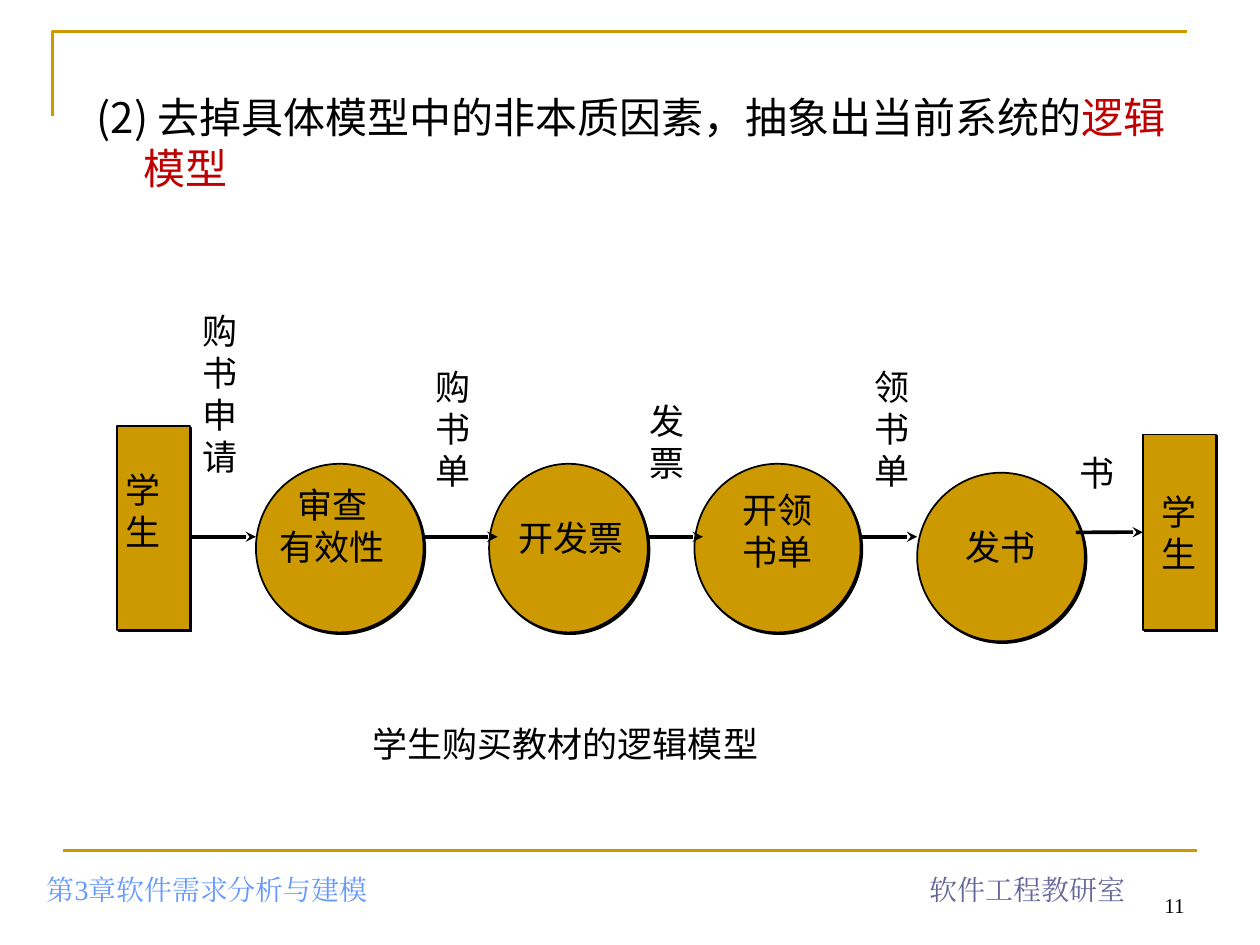
from dataclasses import dataclass

from lxml.etree import SubElement
from pptx import Presentation
from pptx.dml.color import RGBColor
from pptx.enum.shapes import MSO_CONNECTOR as Link, MSO_SHAPE as Shape
from pptx.enum.text import MSO_ANCHOR as Anchor, PP_ALIGN as Align
from pptx.oxml.ns import qn
from pptx.util import Cm, Pt


@dataclass(frozen=True)
class Theme:
    """Colours, fonts and type sizes of the slide."""
    gold: str = "CC9900"
    ink: str = "000000"
    red: str = "C00000"
    sky: str = "6699FF"
    slate: str = "666699"
    sans: str = "Noto Sans CJK SC"
    serif: str = "Times New Roman"
    title: int = 24
    label: int = 20
    footer: int = 16
    number: int = 12
    leading: float = 1.2


THEME = Theme()
FLOW_Y = 10.82
NODE_TOP = 9.35
NODE_HEIGHT = 3.4
STUDENT_WIDTH = 1.47
STUDENT_BOTTOM = 12.7

PROCESSES = [
    (5.16, NODE_TOP, 3.38),
    (9.86, NODE_TOP, 3.2),
    (14, NODE_TOP, 3.35),
    (18.49, 9.53, 3.38),
]
PROCESS_NAMES = [
    ("审查\n有效性", 5.38, 9.63, 2.64),
    ("开发票", 10.19, 10.29, 2.64),
    ("开领\n书单", 14.71, 9.73, 1.93),
    ("发书", 19.2, 10.46, 1.93),
]
FLOW_NAMES = [
    ("学\n生", 2.29, 9.32, 1.73),
    ("购\n书\n申\n请", 3.84, 6.12, 1.32),
    ("购\n书\n单", 8.53, 7.24, 1.5),
    ("发\n票", 12.85, 7.92, 1.22),
    ("领\n书\n单", 17.37, 7.24, 1.22),
    ("书", 21.51, 8.97, 1.22),
]
FLOWS = [(3.84, 5.16), (8.53, 10.03), (13.06, 14.17), (17.37, 18.49)]


def colour(code):
    """Turn a hex code into a colour."""
    return RGBColor.from_string(code)


def style_span(span, size, code, font):
    """Format one run, including its East Asian font."""
    span.font.size = Pt(size)
    span.font.name = font
    span.font.color.rgb = colour(code)
    SubElement(span.font._element, qn("a:ea")).set("typeface", font)


def style_frame(frame, size, code, font=THEME.sans, align=Align.LEFT):
    """Format every paragraph of a text frame."""
    for para in frame.paragraphs:
        para.alignment = align
        if font == THEME.sans:
            para.line_spacing = Pt(size * THEME.leading)
        for span in para.runs:
            style_span(span, size, code, font)


def add_text(page, text, left, top, width, height, wrap=True):
    """Add a text box and return its frame."""
    box = page.shapes.add_textbox(Cm(left), Cm(top), Cm(width), Cm(height))
    frame = box.text_frame
    frame.word_wrap = wrap
    frame.text = text
    return frame


def add_label(page, text, left, top, width, align=Align.LEFT):
    """Add a diagram label as tall as its lines."""
    height = 0.25 + 0.85 * (text.count("\n") + 1)
    frame = add_text(page, text, left, top, width, height, wrap=False)
    style_frame(frame, THEME.label, THEME.ink, align=align)


def add_footer(page, text, left, top, width, size, code, align):
    """Add a footer text resting on the bottom of its box."""
    frame = add_text(page, text, left, top, width, 1.27)
    frame.vertical_anchor = Anchor.BOTTOM
    style_frame(frame, size, code, THEME.serif, align)


def add_title(page):
    """Add the hanging heading with its red ending."""
    frame = add_text(page, "(2) 去掉具体模型中的非本质因素，抽象出当前系统的", 1.7, 1.73, 22.81, 2.29)
    para = frame.paragraphs[0]
    para.add_run().text = "逻辑模型"
    style_frame(frame, THEME.title, THEME.ink)
    para.runs[1].font.color.rgb = colour(THEME.red)
    para._p.get_or_add_pPr().set("marL", str(Cm(0.95)))
    para._p.get_or_add_pPr().set("indent", str(Cm(-0.95)))


def add_node(page, kind, left, top, width, height):
    """Add a gold shape with a hard black shadow."""
    node = page.shapes.add_shape(kind, Cm(left), Cm(top), Cm(width), Cm(height))
    node.shadow.inherit = False
    node.fill.solid()
    node.fill.fore_color.rgb = colour(THEME.gold)
    node.line.color.rgb = colour(THEME.ink)
    node.line.width = Pt(1)
    effects = node._element.spPr.find(qn("a:effectLst"))
    shadow = SubElement(effects, qn("a:outerShdw"), dist=str(Pt(1.4)), dir="2700000", algn="ctr", rotWithShape="0")
    SubElement(shadow, qn("a:srgbClr"), val=THEME.ink)
    return node


def add_student(page, left, top):
    """Add a student rectangle standing on the common base."""
    return add_node(page, Shape.RECTANGLE, left, top, STUDENT_WIDTH, STUDENT_BOTTOM - top)


def add_line(page, start, end, top, code, width):
    """Add a horizontal line without shadow."""
    line = page.shapes.add_connector(Link.STRAIGHT, Cm(start), Cm(top), Cm(end), Cm(top))
    line.line.color.rgb = colour(code)
    line.line.width = Pt(width)
    SubElement(line._element.spPr, qn("a:effectLst"))
    return line


def add_flow(page, start, end, top=FLOW_Y):
    """Add a data flow arrow."""
    arrow = add_line(page, start, end, top, THEME.ink, 2)
    SubElement(arrow.line._get_or_add_ln(), qn("a:tailEnd"), type="stealth")
    return arrow


def add_frame(page):
    """Add the gold corner and the footer rule."""
    pen = page.shapes.build_freeform(Cm(1.06), Cm(2.33), scale=1)
    pen.add_line_segments([(Cm(1.06), Cm(0.63)), (Cm(23.92), Cm(0.63))], close=False)
    corner = pen.convert_to_shape()
    corner.shadow.inherit = False
    corner.fill.background()
    corner.line.color.rgb = colour(THEME.gold)
    corner.line.width = Pt(1.5)
    add_line(page, 1.27, 24.13, 17.15, THEME.gold, 1.5)


def add_diagram(page):
    """Add the students, processes, flows and their names."""
    add_student(page, 2.36, 8.59)
    receiver = add_student(page, 23.04, 8.76)
    receiver.text_frame.text = "学\n生"
    receiver.text_frame.word_wrap = False
    receiver.text_frame.vertical_anchor = Anchor.MIDDLE
    style_frame(receiver.text_frame, THEME.label, THEME.ink, align=Align.CENTER)
    for left, top, width in PROCESSES:
        add_node(page, Shape.OVAL, left, top, width, NODE_HEIGHT)
    for name in FLOW_NAMES:
        add_label(page, *name)
    for start, end in FLOWS:
        add_flow(page, start, end)
    middle = (8.76 + STUDENT_BOTTOM) / 2
    add_flow(page, 21.69, 23.04, middle).end_connect(receiver, 1)
    for name in PROCESS_NAMES:
        add_label(page, *name, align=Align.CENTER)


def main():
    """Build and save the slide."""
    deck = Presentation()
    deck.slide_width, deck.slide_height = Cm(25.4), Cm(19.05)
    page = deck.slides.add_slide(deck.slide_layouts[6])
    add_frame(page)
    add_footer(page, "11", 18.21, 17.35, 5.92, THEME.number, THEME.ink, Align.RIGHT)
    add_footer(page, "第3章软件需求分析与建模", 0.69, 17.12, 10, THEME.footer, THEME.sky, Align.LEFT)
    add_footer(page, "软件工程教研室", 16.69, 17.12, 8.05, THEME.footer, THEME.slate, Align.CENTER)
    add_title(page)
    add_diagram(page)
    add_label(page, "学生购买教材的逻辑模型", 7.26, 14.45, 8.28)
    deck.save("out.pptx")


if __name__ == "__main__":
    main()
